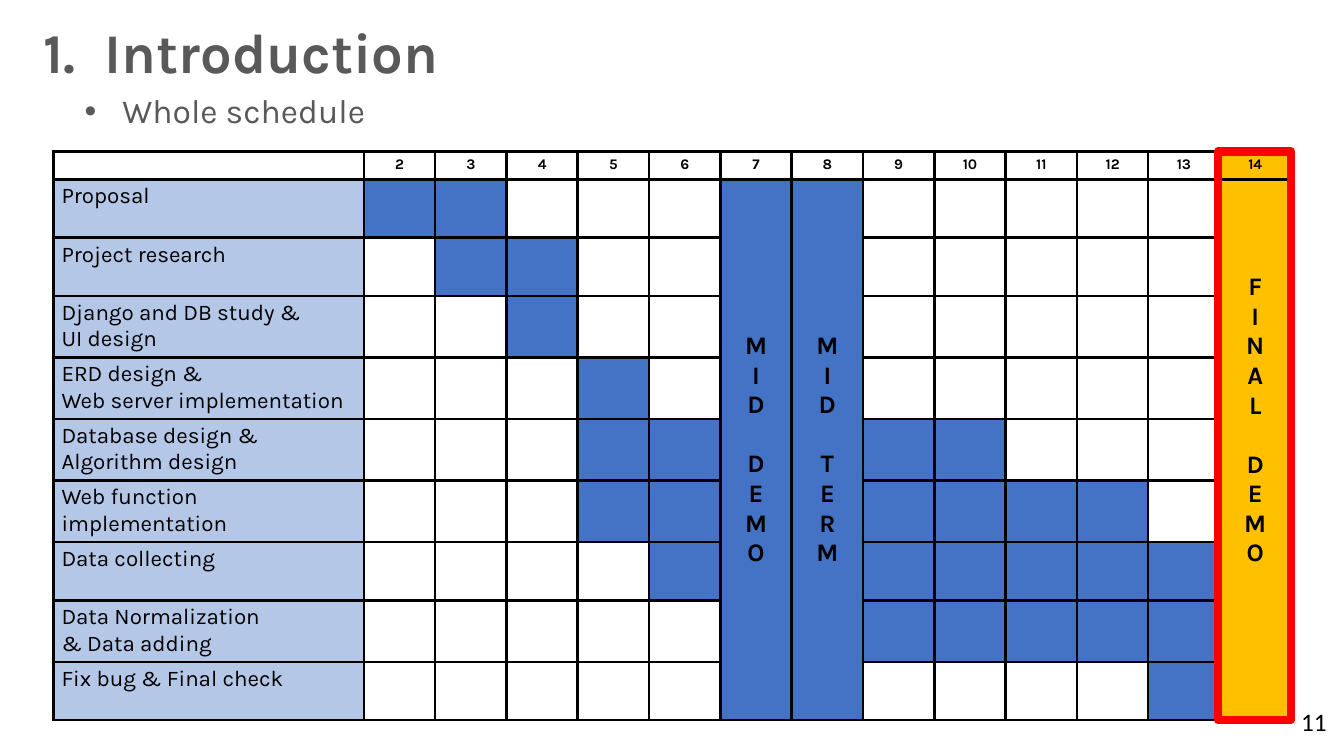
import pptx
import pptx.dml.color
import pptx.enum.shapes
import pptx.enum.text
import pptx.oxml
import pptx.oxml.ns
import pptx.util
from pptx.util import Cm, Pt

ALIGN = pptx.enum.text.PP_ALIGN
ANCHOR = pptx.enum.text.MSO_ANCHOR

GREY, BLACK, WHITE, RED = "595959", "000000", "FFFFFF", "FF0000"
BLUE, LIGHT_BLUE, AMBER = "4472C4", "B4C7E7", "FFC000"

WEEKS = range(2, 15)
SHORT, TALL = 1.47, 1.55  # row heights in cm
TASKS = [  # label, row height, active weeks
    ("Proposal", SHORT, [2, 3]),
    ("Project research", SHORT, [3, 4]),
    ("Django and DB study &\nUI design", TALL, [4]),
    ("ERD design &\nWeb server implementation", TALL, [5]),
    ("Database design & Algorithm design", TALL, [5, 6, 9, 10]),
    ("Web function implementation", TALL, [5, 6, 9, 10, 11, 12]),
    ("Data collecting", SHORT, [6, 9, 10, 11, 12, 13]),
    ("Data Normalization\n& Data adding", TALL, [9, 10, 11, 12, 13]),
    ("Fix bug & Final check", SHORT, [13]),
]
MILESTONES = {7: ("MID DEMO", BLUE), 8: ("MID TERM", BLUE), 14: ("FINAL DEMO", AMBER)}
THICK_AFTER = (4, 10)  # weeks whose right-hand rule is heavier


def rgb(value):
    return pptx.dml.color.RGBColor.from_string(value)


def style(p, size, color=BLACK, bold=False, align=ALIGN.LEFT, font="Karla"):
    p.alignment = align
    p.font.name = font
    p.font.size = Pt(size)
    p.font.bold = bold
    p.font.color.rgb = rgb(color)


def place(sp, left, top, width, height):
    sp.left, sp.top, sp.width, sp.height = Cm(left), Cm(top), Cm(width), Cm(height)


def hang(p, indent):
    """Indent the paragraph in cm, with its first line back at the margin."""
    pPr = p._p.get_or_add_pPr()
    pPr.set("marL", str(Cm(indent)))
    pPr.set("indent", str(-Cm(indent)))


def add_heading(s, left, top, width):
    title, body = s.placeholders
    place(title, left, top, 15.54, 1.96)
    title.text_frame.text = "1.\tIntroduction"
    place(body, left + 1.04, top + 1.85, width - 1.04, 1.27)
    body.text_frame.text = "Whole schedule"
    for sp, size, bold, indent in ((title, 40, True, 1.54), (body, 24, False, 0.95)):
        p = sp.text_frame.paragraphs[0]
        style(p, size, GREY, bold)
        p.space_before = Pt(0)
        hang(p, indent)


def format_cell(cell, fill, week):
    """Rule all four sides and fill the cell; week is 1 for the label column."""
    tcPr = cell._tc.get_or_add_tcPr()
    for side in "LRTB":
        heavy = (side == "R" and week in THICK_AFTER) or (
            side == "L" and week - 1 in THICK_AFTER)
        tcPr.append(pptx.oxml.parse_xml(
            f'<a:ln{side} {pptx.oxml.ns.nsdecls("a")} w="{Pt(2.55 if heavy else 1.98)}">'
            f'<a:solidFill><a:srgbClr val="{BLACK}"/></a:solidFill></a:ln{side}>'))
    cell.fill.solid()
    cell.fill.fore_color.rgb = rgb(fill)
    cell.margin_left = cell.margin_right = Cm(0.2)
    cell.margin_top = cell.margin_bottom = Cm(0.1)


def write_milestone(cell, name):
    """Stack the letters, one to a line, with a line's gap between the words."""
    words = name.split()
    cell.text = "\n".join("".join(words))
    for p in cell.text_frame.paragraphs:
        style(p, 18, bold=True, align=ALIGN.CENTER)
    cell.text_frame.paragraphs[len(words[0])].space_before = Pt(21)


def add_schedule(s, left, top, width, height):
    label_width = 7.82
    table = s.shapes.add_table(len(TASKS) + 1, len(WEEKS) + 1, Cm(left), Cm(top),
                               Cm(width), Cm(height)).table
    table.first_row = table.horz_banding = False
    for col in table.columns:
        col.width = Cm((width - label_width) / len(WEEKS))
    table.columns[0].width = Cm(label_width)
    table.rows[0].height = Cm(0.7)

    for week in (1, *WEEKS):
        cell = table.cell(0, week - 1)
        format_cell(cell, AMBER if week == 14 else WHITE, week)
        cell.text = str(week) if week in WEEKS else ""
        style(cell.text_frame.paragraphs[0], 10.5, bold=True, align=ALIGN.CENTER)

    for row, (label, row_height, active) in enumerate(TASKS, 1):
        table.rows[row].height = Cm(row_height)
        cell = table.cell(row, 0)
        format_cell(cell, LIGHT_BLUE, 1)
        cell.text = label
        for p in cell.text_frame.paragraphs:
            style(p, 16)
        for week in WEEKS:
            fill = BLUE if week in active else WHITE
            if week in MILESTONES:
                fill = MILESTONES[week][1]
            format_cell(table.cell(row, week - 1), fill, week)

    for week, (name, _) in MILESTONES.items():
        cell = table.cell(1, week - 1)
        cell.merge(table.cell(len(TASKS), week - 1))
        write_milestone(cell, name)
        cell.vertical_anchor = ANCHOR.MIDDLE
    final = table.cell(1, len(WEEKS))
    final.vertical_anchor = ANCHOR.TOP
    final.margin_top = Cm(2.35)


def add_highlight(s, left, top, width, height):
    sp = s.shapes.add_shape(pptx.enum.shapes.MSO_SHAPE.RECTANGLE,
                            Cm(left), Cm(top), Cm(width), Cm(height))
    sp.shadow.inherit = False
    sp.fill.background()
    sp.line.color.rgb = rgb(RED)
    sp.line.width = Pt(6)


def add_page_number(s, left, top, width, height):
    tf = s.shapes.add_textbox(Cm(left), Cm(top), Cm(width), Cm(height)).text_frame
    tf.word_wrap = False
    tf.text = "11"
    style(tf.paragraphs[0], 18, font="Calibri")


def main():
    prs = pptx.Presentation()
    prs.slide_width, prs.slide_height = Cm(33.87), Cm(19.05)
    s = prs.slides.add_slide(prs.slide_layouts[1])
    left, top, width, height = 1.35, 3.82, 31.19, 14.32
    highlight_width = 1.85
    add_heading(s, 0.84, 0.3, 33)
    add_schedule(s, left, top, width, height)
    add_highlight(s, left + width - highlight_width, top, highlight_width, height)
    add_page_number(s, left + width, 17.68, 1.17, 1.02)
    prs.save("out.pptx")


if __name__ == "__main__":
    main()
